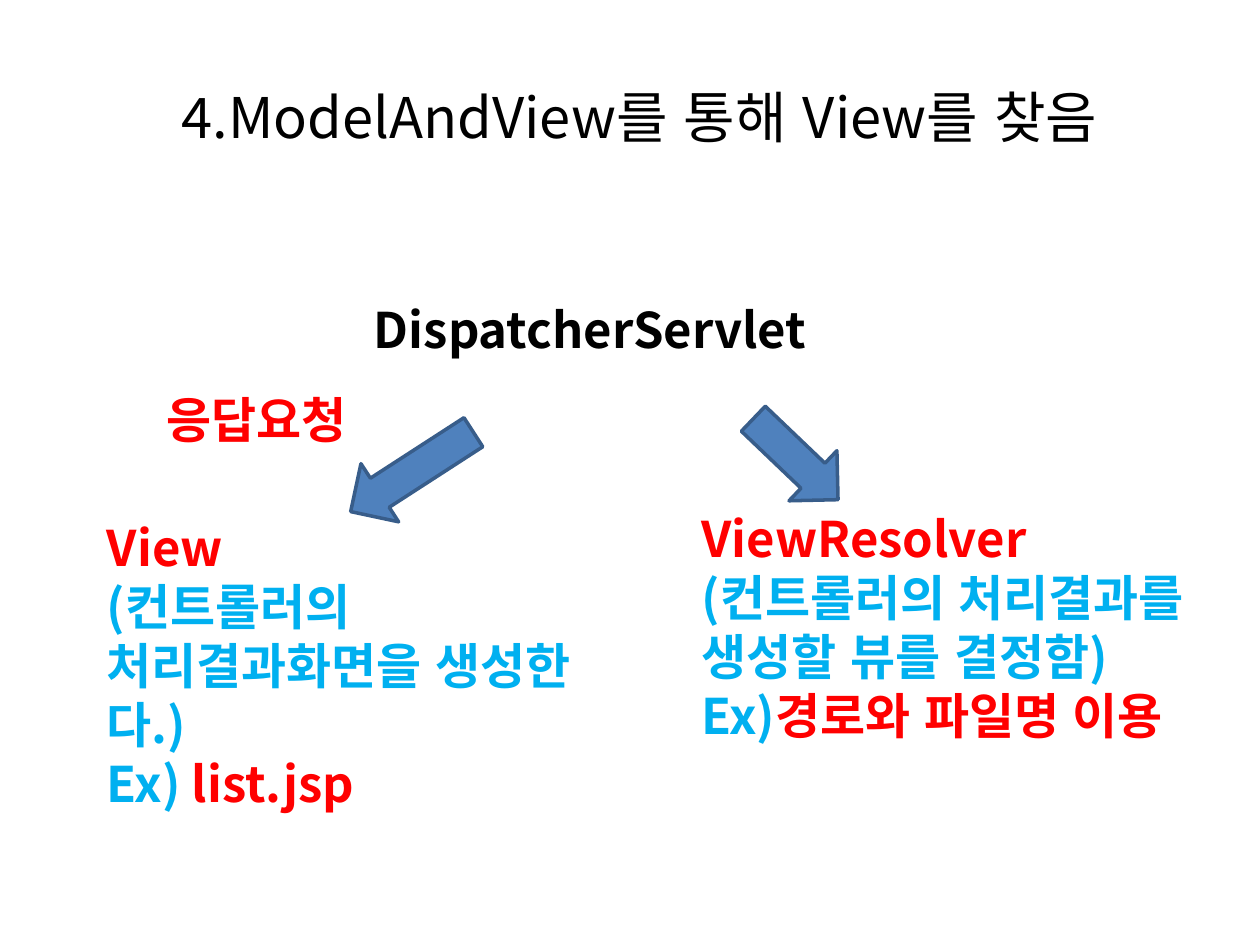
"""Build a slide showing how DispatcherServlet finds a view through ModelAndView."""
from pptx import Presentation
from pptx import util as u
from pptx.dml.color import RGBColor
from pptx.enum import lang, shapes, text
from pptx.oxml.ns import qn

FONT = "Noto Sans CJK KR"
COLORS = {"black": "000000", "red": "FF0000", "sky": "00B0F0", "blue": "4F81BD", "navy": "385D8A"}
TITLE = {"size": u.Pt(32), "bold": False}
BODY = {"size": u.Pt(28), "bold": True}
COMMON = {"name": FONT, "language_id": lang.MSO_LANGUAGE_ID.KOREAN}

TEXTS = [
    ((0.27, 0.3, 9.61, 1.25), TITLE, [[("4.ModelAndView를 통해 View를 찾음", "black")]]),
    ((2.87, 2.33, 3.7, 0.57), BODY, [[("DispatcherServlet", "black")]]),
    ((5.47, 3.99, 4.25, 1.97), BODY, [
        [("ViewResolver", "red")],
        [("(컨트롤러의 처리결과를 생성할 뷰를 결정함)", "sky")],
        [("Ex)", "sky"), ("경로와 파일명 이용", "red")],
    ]),
    ((0.75, 4.06, 4.25, 2.44), BODY, [
        [("View", "red")],
        [("(컨트롤러의 처리결과화면을 생성한다.)", "sky")],
        [("Ex) ", "sky"), ("list.jsp", "red")],
    ]),
    ((1.22, 3.04, 2.6, 0.57), BODY, [[("응답요청", "red")]]),
]
ARROWS = [((2.69, 3.47, 1.16, 0.55), 147.1), ((5.85, 3.37, 0.93, 0.55), 43.7)]


def color(name):
    return RGBColor.from_string(COLORS[name])


def add_text(slide, box, style, paragraphs):
    frame = slide.shapes.add_textbox(*map(u.Inches, box)).text_frame
    frame.word_wrap = True
    is_title = style is TITLE
    frame.vertical_anchor = text.MSO_ANCHOR.MIDDLE if is_title else text.MSO_ANCHOR.TOP
    for index, pieces in enumerate(paragraphs):
        paragraph = frame.add_paragraph() if index else frame.paragraphs[0]
        paragraph.alignment = text.PP_ALIGN.CENTER if is_title else text.PP_ALIGN.LEFT
        for words, shade in pieces:
            run = paragraph.add_run()
            run.text = words
            for key, value in {**COMMON, **style}.items():
                setattr(run.font, key, value)
            run.font.color.rgb = color(shade)
            properties = run._r.get_or_add_rPr()
            east_asian = properties.makeelement(qn("a:ea"), {"typeface": FONT})
            properties.find(qn("a:latin")).addnext(east_asian)


def add_arrow(slide, box, rotation):
    arrow = slide.shapes.add_shape(shapes.MSO_SHAPE.RIGHT_ARROW, *map(u.Inches, box))
    arrow.rotation = rotation
    arrow.shadow.inherit = False
    arrow.fill.solid()
    arrow.fill.fore_color.rgb = color("blue")
    arrow.line.color.rgb = color("navy")
    arrow.line.width = u.Pt(2)


def main():
    presentation = Presentation()
    presentation.slide_width, presentation.slide_height = u.Inches(10), u.Inches(7.5)
    slide = presentation.slides.add_slide(presentation.slide_layouts[6])
    for item in TEXTS:
        add_text(slide, *item)
    for item in ARROWS:
        add_arrow(slide, *item)
    presentation.save("out.pptx")


if __name__ == "__main__":
    main()
